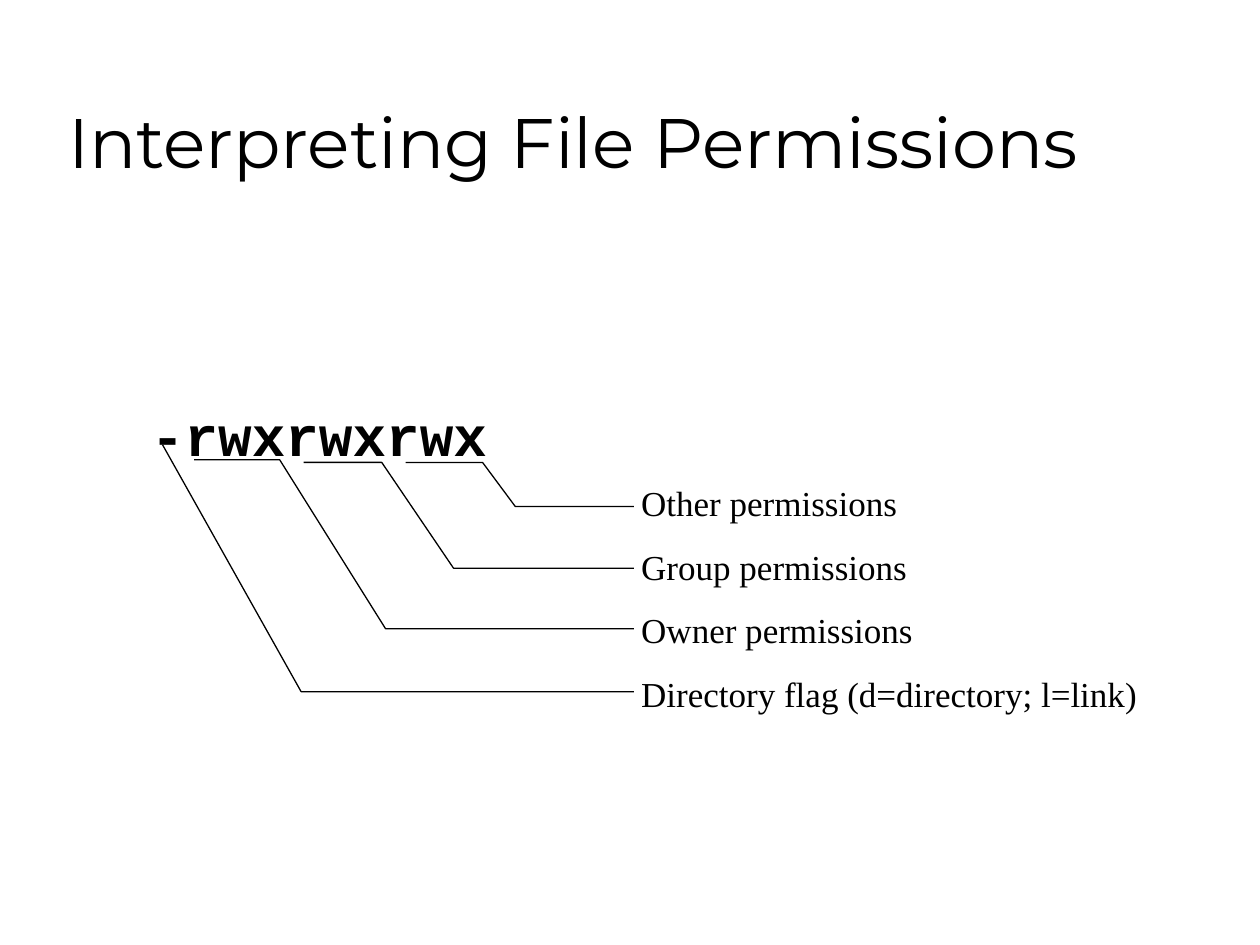
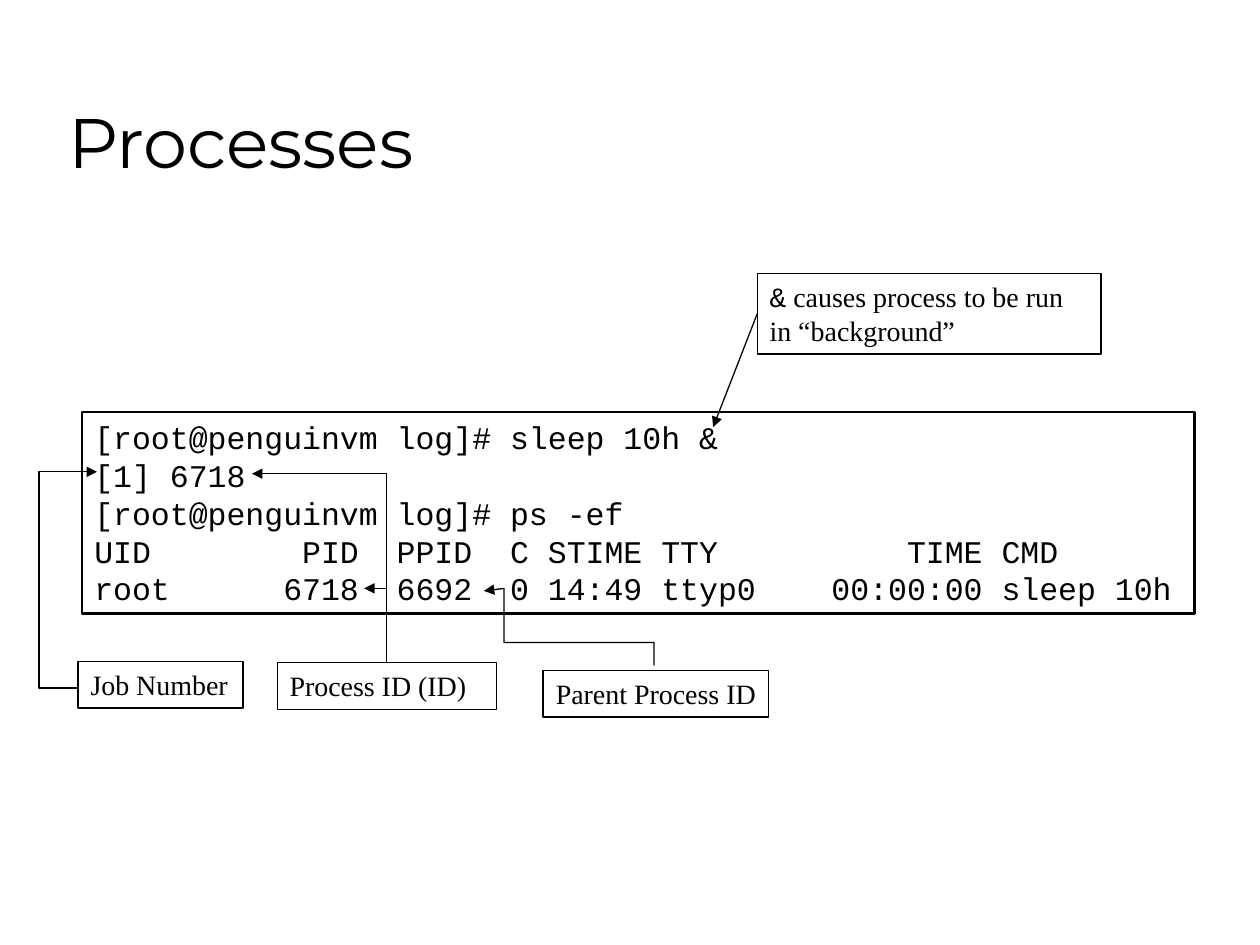
from lxml import etree
from pptx import Presentation
from pptx.dml.color import RGBColor
from pptx.enum.shapes import MSO_CONNECTOR, MSO_SHAPE
from pptx.enum.text import MSO_ANCHOR, MSO_AUTO_SIZE, PP_ALIGN
from pptx.oxml.ns import qn
from pptx.util import Inches, Pt

RECTANGLE = MSO_SHAPE.RECTANGLE
STRAIGHT = MSO_CONNECTOR.STRAIGHT
TOP, MIDDLE, BOTTOM = MSO_ANCHOR.TOP, MSO_ANCHOR.MIDDLE, MSO_ANCHOR.BOTTOM
NO_AUTOFIT = MSO_AUTO_SIZE.NONE
LEFT, CENTER = PP_ALIGN.LEFT, PP_ALIGN.CENTER

COLORS = {"ink": "000000"}
FONTS = {"title": "Montserrat", "code": "Courier New", "label": "Times New Roman"}
LINE_PITCH = 1.2  # line height as a multiple of the text size
THIN, THICK = 0.75, 1.5
LEFT_SIDE = 1

# The slide is a grid of 100 columns by 75 rows
SLIDE_WIDTH, SLIDE_HEIGHT = Inches(10), Inches(7.5)
COLUMNS = 100
CELL = SLIDE_WIDTH / COLUMNS
TITLE_ONLY = 5


def grid(*cells):
    """Convert grid columns and rows to slide lengths."""
    return [round(cell * CELL) for cell in cells]


def ink():
    return RGBColor.from_string(COLORS["ink"])


def style_font(font, name, size, bold=False):
    font.name, font.size, font.bold = FONTS[name], Pt(size), bold
    font.color.rgb = ink()


def style_line(line, width=THIN, arrow=False):
    line.color.rgb = ink()
    line.width = Pt(width)
    if arrow:
        properties = line._get_or_add_ln()
        etree.SubElement(properties, qn("a:tailEnd"), type="triangle")


# Text elements
def fill_text(box, lines, font, size, bold=False, gap=0, centered=False):
    frame = box.text_frame
    frame.auto_size = NO_AUTOFIT
    frame.word_wrap = not centered
    frame.vertical_anchor = MIDDLE if centered else TOP
    for index, line in enumerate(lines):
        para = frame.add_paragraph() if index else frame.paragraphs[0]
        para.text = line
        para.alignment = CENTER if centered else LEFT
        para.line_spacing = Pt(LINE_PITCH * size)
        para.space_before = Pt(gap if index else 0)
        style_font(para.font, font, size, bold)


def add_page(deck, title, width):
    page = deck.slides.add_slide(deck.slide_layouts[TITLE_ONLY])
    box = page.shapes.title
    box.left, box.top, box.width, box.height = grid(4.4, 2.5, width, 12.5)
    frame = box.text_frame
    frame.text = title
    frame.auto_size = NO_AUTOFIT
    frame.vertical_anchor = BOTTOM
    para = frame.paragraphs[0]
    para.alignment = LEFT
    style_font(para.font, "title", 40)
    return page


def add_text(page, area, lines, font, size, **options):
    box = page.shapes.add_textbox(*grid(*area))
    fill_text(box, lines, font, size, **options)


def add_frame(page, area, lines, font="label", size=16, width=THIN, centered=False):
    box = page.shapes.add_shape(RECTANGLE, *grid(*area))
    box.shadow.inherit = False
    box.fill.background()
    style_line(box.line, width)
    fill_text(box, lines, font, size, centered=centered)
    return box


# Lines
def add_path(page, points, arrow=False):
    start, *others = [grid(*point) for point in points]
    builder = page.shapes.build_freeform(*start)
    builder.add_line_segments(others, close=False)
    path = builder.convert_to_shape()
    path.shadow.inherit = False
    path.fill.background()
    style_line(path.line, arrow=arrow)


def add_arrow(page, start, end):
    arrow = page.shapes.add_connector(STRAIGHT, *grid(*start, *end))
    style_line(arrow.line, arrow=True)
    etree.SubElement(arrow._element.spPr, qn("a:effectLst"))
    return arrow


# Slides
def add_permissions_page(deck):
    page = add_page(deck, "Interpreting File Permissions", 92.6)
    add_text(page, (11, 31.3, 33.4, 6.4), ["-rwxrwxrwx"], "code", 32, bold=True)
    meanings = [
        "Other permissions",
        "Group permissions",
        "Owner permissions",
        "Directory flag (d=directory; l=link)",
    ]
    add_text(page, (49.9, 37.7, 44.8, 19.6), meanings, "label", 20, gap=12.5)

    # Leaders from each group of letters to its meaning
    label_edge = 50.3
    add_path(page, [(12.9, 35.3), (23.9, 54.9), (label_edge, 54.9)])
    leaders = [  # underline start, underline end, its row, bend, label row
        (15.4, 22.2, 36.5, 30.6, 49.9),
        (24.1, 30.3, 36.7, 36, 45.1),
        (32.2, 38.3, 36.7, 40.9, 40.2),
    ]
    for start, end, row, bend, label_row in leaders:
        add_path(page, [(start, row), (end, row), (bend, label_row), (label_edge, label_row)])


def add_processes_page(deck):
    page = add_page(deck, "Processes", 85)
    session = [
        "[root@penguinvm log]# sleep 10h &",
        "[1] 6718",
        "[root@penguinvm log]# ps -ef",
        "UID        PID  PPID  C STIME TTY          TIME CMD",
        "root      6718  6692  0 14:49 ttyp0    00:00:00 sleep 10h",
    ]
    add_frame(page, (6.5, 32.7, 88.3, 16), session, "code", 18, THICK)

    # Background note and its arrow
    note = add_frame(page, (60.1, 21.7, 27.3, 6.4), ["&"])
    para = note.text_frame.paragraphs[0]
    para.runs[0].font.name = FONTS["code"]
    para.add_run().text = " causes process to be run in “background”"
    arrow = add_arrow(page, (60.1, 24.9), (56.6, 33.9))
    arrow.begin_connect(note, LEFT_SIDE)

    # Labels under the session
    add_frame(page, (6.2, 52.5, 13.1, 3.7), ["Job Number"])
    add_frame(page, (22, 52.6, 17.4, 3.7), ["Process ID (ID)"])
    add_frame(page, (43.1, 53.2, 17.9, 3.7), ["Parent Process ID"], centered=True)

    # Arrows from the labels into the session
    paths = [
        [(6.1, 54.6), (3.1, 54.6), (3.1, 37.45), (7.7, 37.45)],
        [(30.7, 52.6), (30.7, 37.6), (20, 37.6)],
        [(51.9, 52.8), (51.9, 51), (40, 51), (40, 46.7), (38.4, 46.9)],
    ]
    for points in paths:
        add_path(page, points, arrow=True)
    add_arrow(page, (30.7, 46.7), (28.9, 46.7))


def main():
    deck = Presentation()
    deck.slide_width, deck.slide_height = SLIDE_WIDTH, SLIDE_HEIGHT
    add_permissions_page(deck)
    add_processes_page(deck)
    deck.save("out.pptx")


if __name__ == "__main__":
    main()
